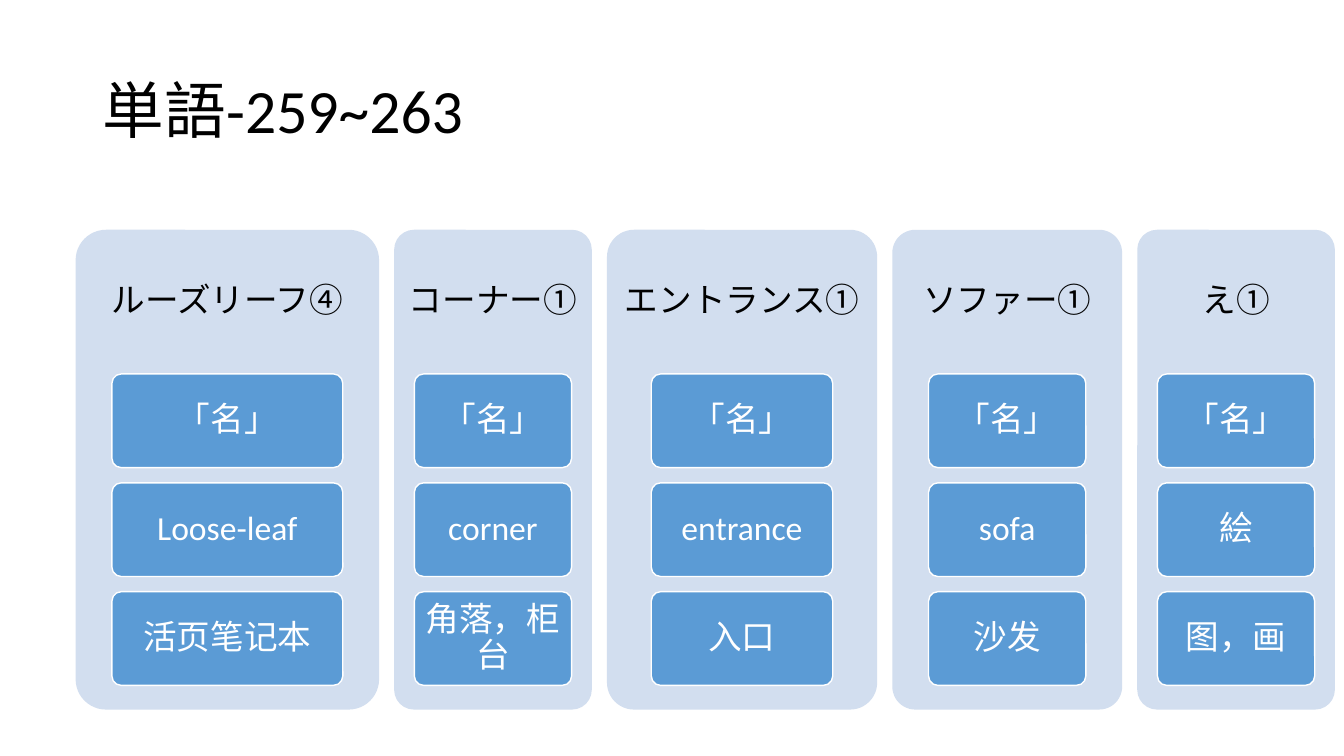
import pptx
import pptx.dml.color
import pptx.enum.shapes
import pptx.enum.text
import pptx.util

Inches = pptx.util.Inches
RGBColor = pptx.dml.color.RGBColor
Align = pptx.enum.text.PP_ALIGN

BLACK = RGBColor(0x00, 0x00, 0x00)
WHITE = RGBColor(0xFF, 0xFF, 0xFF)
PALE_BLUE = RGBColor(0xD2, 0xDE, 0xEF)
BLUE = RGBColor(0x5B, 0x9B, 0xD5)

PANEL_LEFT, PANEL_TOP, PANEL_HEIGHT, PANEL_GAP = 0.75, 2.28, 4.76, 0.15
HEADING_HEIGHT = 1.43
TILE_TOP, TILE_HEIGHT, TILE_STEP = 3.71, 0.93, 1.08

WORDS = [
    (3.01, 2.29, "ルーズリーフ④", ["「名」", "Loose-leaf", "活页笔记本"]),
    (1.96, 1.56, "コーナー①", ["「名」", "corner", "角落，柜台"]),
    (2.68, 1.80, "エントランス①", ["「名」", "entrance", "入口"]),
    (2.28, 1.56, "ソファー①", ["「名」", "sofa", "沙发"]),
    (1.96, 1.56, "え①", ["「名」", "絵", "图，画"]),
]


class VocabularySlide:
    font_name = "Calibri"
    title_size = 44
    word_size = 24

    def __init__(self, deck):
        self.page = deck.slides.add_slide(deck.slide_layouts[5])

    def set_text(self, box, text, size, color, align, inset_x=0.1, inset_y=0.05):
        frame = box.text_frame
        frame.text = text
        frame.word_wrap = True
        frame.auto_size = pptx.enum.text.MSO_AUTO_SIZE.NONE
        frame.vertical_anchor = pptx.enum.text.MSO_ANCHOR.MIDDLE
        frame.margin_left = frame.margin_right = Inches(inset_x)
        frame.margin_top = frame.margin_bottom = Inches(inset_y)
        para = frame.paragraphs[0]
        para.alignment = align
        para.line_spacing = 0.9
        para.font.name = self.font_name
        para.font.size = pptx.util.Pt(size)
        para.font.color.rgb = color

    def title(self, text, left, top, width, height):
        box = self.page.shapes.title
        box.left, box.top = Inches(left), Inches(top)
        box.width, box.height = Inches(width), Inches(height)
        self.set_text(box, text, self.title_size, BLACK, Align.LEFT)

    def rounded(self, left, top, width, height, fill):
        box = self.page.shapes.add_shape(
            pptx.enum.shapes.MSO_SHAPE.ROUNDED_RECTANGLE,
            Inches(left), Inches(top), Inches(width), Inches(height))
        box.adjustments[0] = 0.1
        box.shadow.inherit = False
        box.fill.solid()
        box.fill.fore_color.rgb = fill
        return box

    def panel(self, left, width):
        box = self.rounded(left, PANEL_TOP, width, PANEL_HEIGHT, PALE_BLUE)
        box.line.fill.background()

    def heading(self, text, left, width):
        box = self.page.shapes.add_textbox(
            Inches(left), Inches(PANEL_TOP), Inches(width), Inches(HEADING_HEIGHT))
        self.set_text(box, text, self.word_size, BLACK, Align.CENTER, 0.1, 0.1)

    def tile(self, text, left, top, width):
        box = self.rounded(left, top, width, TILE_HEIGHT, BLUE)
        box.line.color.rgb = WHITE
        box.line.width = pptx.util.Pt(1)
        self.set_text(box, text, self.word_size, WHITE, Align.CENTER, 0.07, 0.05)


def main():
    deck = pptx.Presentation()
    deck.slide_width, deck.slide_height = Inches(13.33), Inches(7.5)
    slide = VocabularySlide(deck)
    slide.title("単語-259~263", 0.92, 0.4, 11.5, 1.45)
    left = PANEL_LEFT
    for panel_width, tile_width, word, details in WORDS:
        slide.panel(left, panel_width)
        slide.heading(word, left, panel_width)
        tile_left = left + (panel_width - tile_width) / 2
        for row, detail in enumerate(details):
            slide.tile(detail, tile_left, TILE_TOP + row * TILE_STEP, tile_width)
        left += panel_width + PANEL_GAP
    deck.save("out.pptx")


if __name__ == "__main__":
    main()
